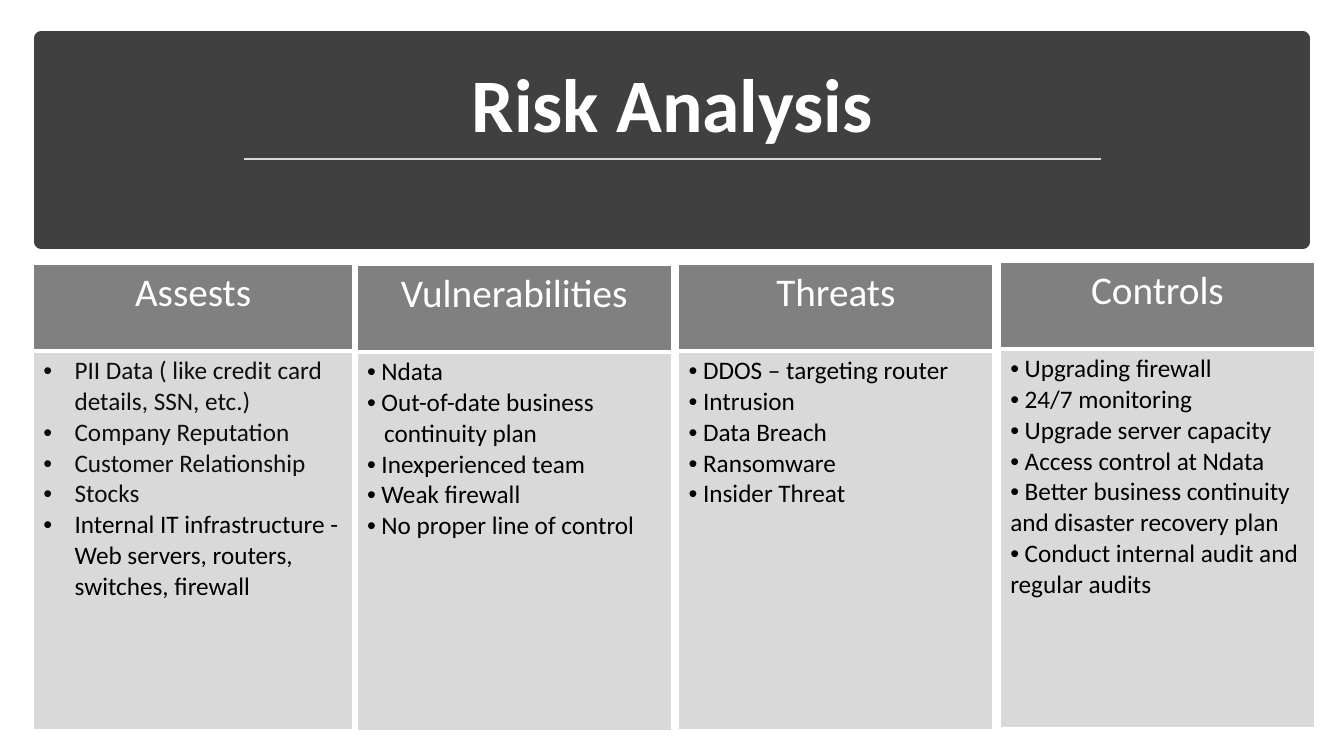
from lxml import etree
from pptx import Presentation
from pptx.dml.color import RGBColor
from pptx.enum.shapes import MSO_CONNECTOR, MSO_SHAPE
from pptx.enum.text import MSO_ANCHOR, MSO_AUTO_SIZE, PP_ALIGN
from pptx.oxml.ns import qn
from pptx.util import Inches, Pt

FONT = "Calibri"
COLORS = {
    "white": "FFFFFF",
    "black": "000000",
    "ink": "0D0D0D",
    "banner": "404040",
    "header": "808080",
    "body": "D9D9D9",
}
HEADER_HEIGHT, BODY_HEIGHT = 0.86, 3.76
HANGING = 0.31
CONTINUATION = "continuity plan"

# Heading, left, top, width, items
RISK_COLUMNS = [
    ("Assests", 0.33, 2.62, 3.17, [
        "PII Data ( like credit card details, SSN, etc.)",
        "Company Reputation",
        "Customer Relationship",
        "Stocks",
        "Internal IT infrastructure - Web servers, routers, switches, firewall",
    ]),
    ("Vulnerabilities", 3.54, 2.63, 3.12, [
        "Ndata",
        "Out-of-date business",
        CONTINUATION,
        "Inexperienced team",
        "Weak firewall",
        "No proper line of control",
    ]),
    ("Threats", 6.73, 2.62, 3.12, [
        "DDOS – targeting router",
        "Intrusion",
        "Data Breach",
        "Ransomware",
        "Insider Threat",
    ]),
    ("Controls", 9.92, 2.6, 3.12, [
        "Upgrading firewall",
        "24/7 monitoring",
        "Upgrade server capacity",
        "Access control at Ndata",
        "Better business continuity and disaster recovery plan",
        "Conduct internal audit and regular audits",
    ]),
]


def rgb(name):
    return RGBColor.from_string(COLORS[name])


def set_font(paragraph, size, color, bold=False):
    font = paragraph.font
    font.name, font.size, font.bold = FONT, Pt(size), bold
    font.color.rgb = rgb(color)


def set_indent(paragraph, left, first=0.0, bullet=True):
    properties = paragraph._p.get_or_add_pPr()
    properties.set("marL", str(Inches(left)))
    properties.set("indent", str(Inches(first)))
    if bullet:
        mark_font = etree.Element(qn("a:buFont"), typeface="Arial")
        mark = etree.Element(qn("a:buChar"), char="•")
        properties.insert(0, mark_font)
        mark_font.addnext(mark)


def style_cell(cell, fill, top, bottom):
    """Give the cell white borders, with top and bottom widths in points, and a fill."""
    properties = cell._tc.get_or_add_tcPr()
    for side, width in (("L", 1), ("R", 1), ("T", top), ("B", bottom)):
        border = etree.SubElement(properties, qn(f"a:ln{side}"), w=str(Pt(width)))
        paint = etree.SubElement(border, qn("a:solidFill"))
        etree.SubElement(paint, qn("a:srgbClr"), val=COLORS["white"])
    cell.fill.solid()
    cell.fill.fore_color.rgb = rgb(fill)


def add_title(slide, text):
    title = slide.shapes.title
    title.left, title.top = Inches(0.58), Inches(0.51)
    title.width, title.height = Inches(12.18), Inches(1.02)
    frame = title.text_frame
    frame.text = text
    frame.auto_size = MSO_AUTO_SIZE.NONE
    frame.vertical_anchor = MSO_ANCHOR.BOTTOM
    paragraph = frame.paragraphs[0]
    paragraph.alignment = PP_ALIGN.CENTER
    paragraph.line_spacing = 0.9
    paragraph.space_after = Pt(6)
    set_font(paragraph, 54, "white", bold=True)


def add_banner(slide):
    """Draw the dark band behind the title."""
    banner = slide.shapes.add_shape(
        MSO_SHAPE.RECTANGLE, Inches(0.41), Inches(0.38), Inches(12.51), Inches(2.02))
    banner.shadow.inherit = False
    banner.fill.solid()
    banner.fill.fore_color.rgb = rgb("banner")
    banner.line.color.rgb = rgb("banner")
    banner.line.width = Pt(10)
    slide.shapes.title.element.addprevious(banner.element)


def add_title_rule(slide):
    rule = slide.shapes.add_connector(
        MSO_CONNECTOR.STRAIGHT, Inches(2.42), Inches(1.58), Inches(10.92), Inches(1.58))
    rule.line.color.rgb = rgb("body")
    rule.line.width = Pt(1.75)
    etree.SubElement(rule.element.spPr, qn("a:effectLst"))


def add_risk_column(slide, heading, left, top, width, items, hanging):
    """Add a heading cell over a list; hanging aligns wrapped lines with the text."""
    table = slide.shapes.add_table(
        2, 1, Inches(left), Inches(top), Inches(width),
        Inches(HEADER_HEIGHT + BODY_HEIGHT)).table
    table.horz_banding = False
    table.rows[0].height = Inches(HEADER_HEIGHT)
    table.rows[1].height = Inches(BODY_HEIGHT)
    header, body = table.cell(0, 0), table.cell(1, 0)
    style_cell(header, "header", top=1, bottom=3)
    style_cell(body, "body", top=3, bottom=1)

    header.text = heading
    header_line = header.text_frame.paragraphs[0]
    header_line.alignment = PP_ALIGN.CENTER
    set_font(header_line, 28, "white")

    frame = body.text_frame
    for index, item in enumerate(items):
        paragraph = frame.add_paragraph() if index else frame.paragraphs[0]
        if item == CONTINUATION:
            paragraph.text = item
            set_indent(paragraph, 0.17, bullet=False)
        elif hanging:
            paragraph.text = item
            set_indent(paragraph, HANGING, -HANGING)
        else:
            paragraph.text = f" {item}"
            set_indent(paragraph, 0)
        is_soft = hanging and index < len(items) - 1
        set_font(paragraph, 18, "ink" if is_soft else "black")


def main():
    deck = Presentation()
    deck.slide_width, deck.slide_height = Inches(13.33), Inches(7.5)
    slide = deck.slides.add_slide(deck.slide_layouts[5])
    add_title(slide, "Risk Analysis")
    add_banner(slide)
    add_title_rule(slide)
    for number, column in enumerate(RISK_COLUMNS):
        add_risk_column(slide, *column, hanging=number == 0)
    deck.save("out.pptx")


if __name__ == "__main__":
    main()
